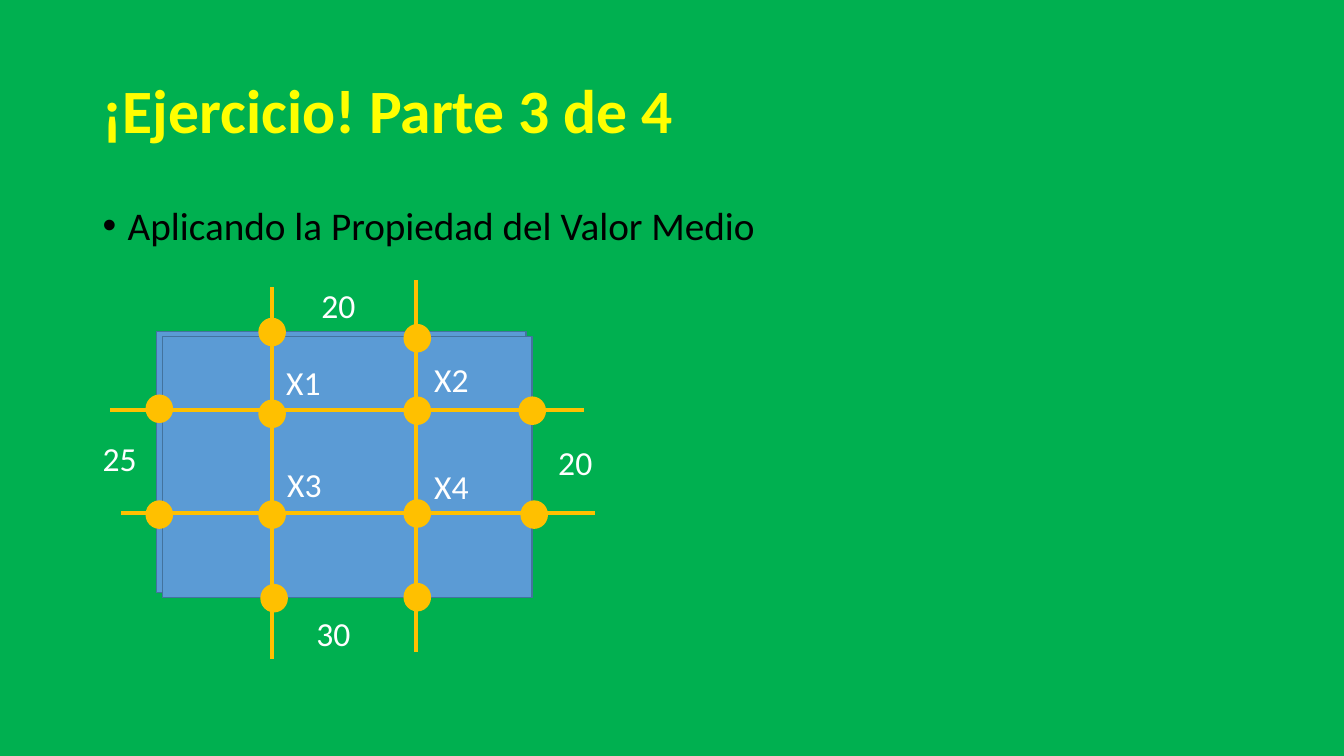
import pptx
import pptx.util
import pptx.dml.color
import pptx.enum.shapes
import pptx.enum.text
import pptx.oxml.ns
import lxml.etree

Pt = pptx.util.Pt
RGBColor = pptx.dml.color.RGBColor
Shape = pptx.enum.shapes.MSO_SHAPE
Anchor = pptx.enum.text.MSO_ANCHOR
Align = pptx.enum.text.PP_ALIGN
qn = pptx.oxml.ns.qn

GREEN = RGBColor(0x00, 0xB0, 0x50)
YELLOW = RGBColor(0xFF, 0xFF, 0x00)
BLACK = RGBColor(0x00, 0x00, 0x00)
WHITE = RGBColor(0xFF, 0xFF, 0xFF)
BLUE = RGBColor(0x5B, 0x9B, 0xD5)
DARK_BLUE = RGBColor(0x43, 0x73, 0x9E)
ORANGE = RGBColor(0xFF, 0xC0, 0x00)
FONT = "Calibri"

TITLE = "¡Ejercicio! Parte 3 de 4"
BULLET = "Aplicando la Propiedad del Valor Medio"
PLATE_SIZE = (264.2, 186.5)
PLATES = [(111.6, 236.9), (115.9, 240.5)]
GRID_LINES = [
    (194.4, 205.2, 194.4, 470.9),
    (297.4, 200.2, 297.4, 465.8),
    (78.5, 293, 416.9, 293),
    (86.4, 366.5, 424.8, 366.5),
]
NODE_SIZE = (18.7, 19.4)
NODES = [
    (194.4, 237.2), (298.1, 241.6),
    (113.8, 292), (194.4, 295.6), (298.1, 293.4), (380.2, 293.4),
    (113.8, 367.6), (194.4, 367.6), (298.1, 366.8), (381.6, 367.6),
    (195.8, 427.3), (298.1, 426.6),
]
LABEL_SIZE = (50.4, 36)
LABELS = [
    ("20", 222.5, 200.2), ("20", 391.7, 311.8),
    ("30", 218.9, 434.2), ("25", 66.2, 309.6),
    ("X1", 197.3, 254.9), ("X2", 303.1, 252.7),
    ("X3", 198, 327.6), ("X4", 303.1, 329),
]


def write(box, text, size, color, bold=False):
    frame = box.text_frame
    frame.word_wrap = True
    para = frame.paragraphs[0]
    para.text = text
    para.alignment = Align.LEFT
    para.font.name = FONT
    para.font.size = Pt(size)
    para.font.bold = bold
    para.font.color.rgb = color
    return para


def add_filled(shapes, kind, left, top, size, fill, line):
    shape = shapes.add_shape(kind, Pt(left), Pt(top), *map(Pt, size))
    shape.shadow.inherit = False
    shape.fill.solid()
    shape.fill.fore_color.rgb = fill
    shape.line.color.rgb = line
    shape.line.width = Pt(1)


def add_line(shapes, ends):
    line = shapes.add_connector(
        pptx.enum.shapes.MSO_CONNECTOR.STRAIGHT, *map(Pt, ends))
    line.line.color.rgb = ORANGE
    line.line.width = Pt(3)
    properties = line._element.find(qn("p:spPr"))
    lxml.etree.SubElement(properties, qn("a:effectLst"))


def add_heading(page):
    title = page.shapes.title
    title.left, title.top, title.width, title.height = map(
        Pt, (66.2, 28.8, 757.4, 104.4))
    title.text_frame.vertical_anchor = Anchor.MIDDLE
    write(title, TITLE, 44, YELLOW, True).line_spacing = 0.9

    box = page.shapes.add_textbox(*map(Pt, (66.2, 144, 828, 342.7)))
    para = box.text_frame.paragraphs[0]
    properties = para._p.get_or_add_pPr()
    properties.set("marL", str(Pt(18)))
    properties.set("indent", str(Pt(-18)))
    lxml.etree.SubElement(properties, qn("a:buFont")).set("typeface", "Arial")
    lxml.etree.SubElement(properties, qn("a:buChar")).set("char", "•")
    write(box, BULLET, 28, BLACK).line_spacing = 0.9


def add_mesh(page):
    shapes = page.shapes.add_group_shape().shapes
    for left, top in PLATES:
        add_filled(shapes, Shape.RECTANGLE, left, top, PLATE_SIZE, BLUE, DARK_BLUE)
    for ends in GRID_LINES:
        add_line(shapes, ends)
    width, height = NODE_SIZE
    for x, y in NODES:
        add_filled(shapes, Shape.OVAL, x - width / 2, y - height / 2,
                   NODE_SIZE, ORANGE, ORANGE)
    for text, left, top in LABELS:
        box = shapes.add_textbox(Pt(left), Pt(top), *map(Pt, LABEL_SIZE))
        write(box, text, 24, WHITE)


def main():
    deck = pptx.Presentation()
    deck.slide_width = Pt(960)
    deck.slide_height = Pt(540)
    page = deck.slides.add_slide(deck.slide_layouts[5])
    page.background.fill.solid()
    page.background.fill.fore_color.rgb = GREEN
    add_heading(page)
    add_mesh(page)
    deck.save("out.pptx")


if __name__ == "__main__":
    main()
